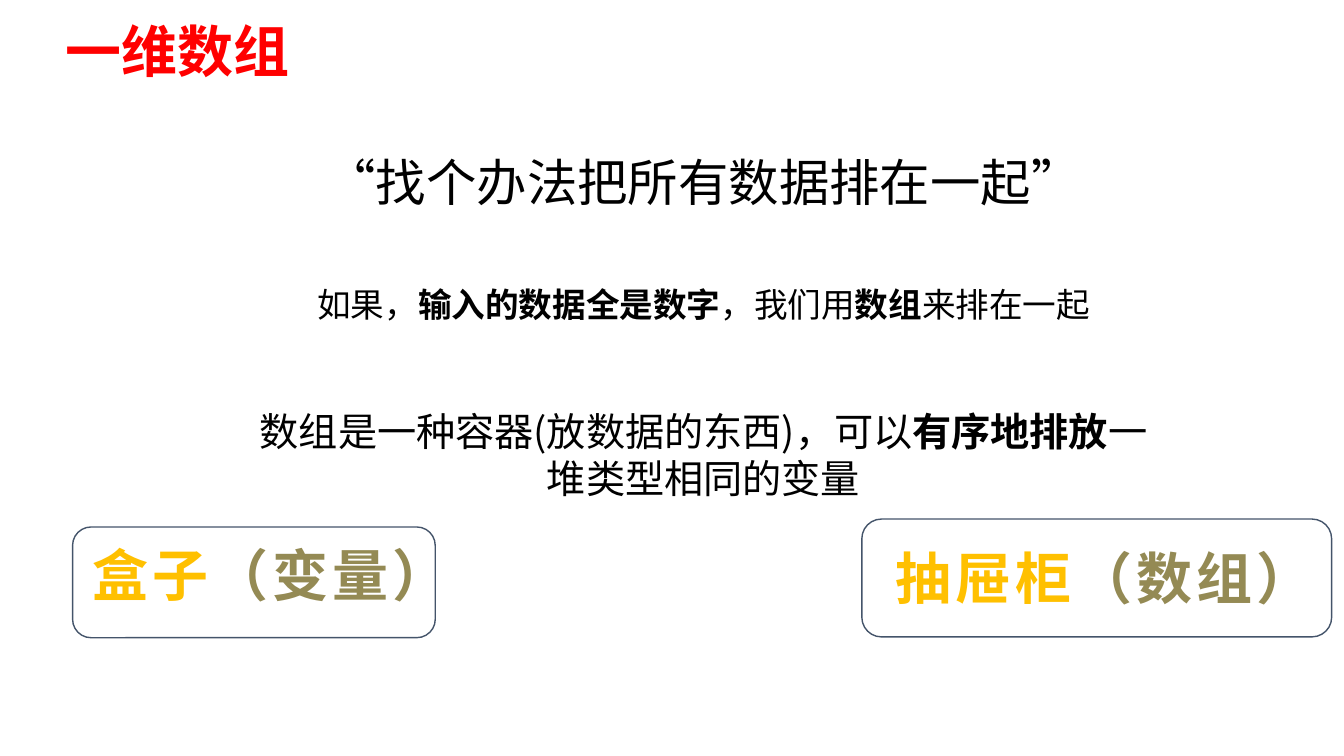
import pptx
import pptx.util
import pptx.dml.color
import pptx.enum.shapes
import pptx.enum.text
import pptx.oxml.ns
from lxml import etree

Cm = pptx.util.Cm
Pt = pptx.util.Pt
ANCHOR = pptx.enum.text.MSO_ANCHOR
ALIGN = pptx.enum.text.PP_ALIGN
FONT = "Noto Sans CJK SC"
COLORS = {
    "heading": "FF0000",
    "text": "000000",
    "object": "FFC000",
    "term": "948A54",
    "outline": "44546A",
}


def color(name):
    return pptx.dml.color.RGBColor.from_string(COLORS[name])


def place(shape, left, top, width, height):
    shape.left, shape.top = Cm(left), Cm(top)
    shape.width, shape.height = Cm(width), Cm(height)


def format_run(run, size, color_name, bold, spacing=None):
    run.font.size = Pt(size)
    run.font.bold = bold
    run.font.color.rgb = color(color_name)
    run.font.name = FONT
    properties = run.font._element
    east_asian = etree.SubElement(properties, pptx.oxml.ns.qn("a:ea"))
    east_asian.set("typeface", FONT)
    if spacing:
        properties.set("spc", str(spacing * 100))


def fill_text(shape, runs, size, align=ALIGN.CENTER, anchor=ANCHOR.MIDDLE,
              line_spacing=1.0, spacing=None):
    """Write one paragraph from (text, color name, bold) runs."""
    frame = shape.text_frame
    frame.word_wrap = True
    frame.vertical_anchor = anchor
    paragraph = frame.paragraphs[0]
    paragraph.alignment = align
    paragraph.line_spacing = line_spacing
    for text, color_name, bold in runs:
        run = paragraph.add_run()
        run.text = text
        format_run(run, size, color_name, bold, spacing)


def add_text(shapes, bounds, runs, size, **options):
    box = shapes.add_textbox(0, 0, 0, 0)
    place(box, *bounds)
    fill_text(box, runs, size, **options)
    return box


def add_label(slide, text_bounds, frame_bounds, object_name, term):
    """Group a two-colour label with its rounded outline."""
    group = slide.shapes.add_group_shape()
    label = add_text(group.shapes, text_bounds,
                     [(object_name, "object", True), (term, "term", True)], 40,
                     anchor=ANCHOR.BOTTOM, line_spacing=0.9, spacing=3)
    label.text_frame.margin_left = label.text_frame.margin_right = Cm(0.1)
    outline = group.shapes.add_shape(
        pptx.enum.shapes.MSO_SHAPE.ROUNDED_RECTANGLE,
        *(Cm(length) for length in frame_bounds))
    outline.shadow.inherit = False
    outline.fill.background()
    outline.line.color.rgb = color("outline")
    outline.line.width = Pt(1)


def main():
    presentation = pptx.Presentation()
    presentation.slide_width = Cm(33.87)
    presentation.slide_height = Cm(19.05)
    slide = presentation.slides.add_slide(presentation.slide_layouts[5])

    # Heading and title
    add_text(slide.shapes, (1.4, 0.3, 28.88, 1.96),
             [("一维数组", "heading", True)], 40,
             align=ALIGN.LEFT, anchor=ANCHOR.TOP)
    title = slide.shapes.title
    place(title, 4.93, 2.82, 25.6, 3.68)
    fill_text(title, [("“找个办法把所有数据排在一起”", "text", False)], 36,
              line_spacing=0.9)

    # Explanation
    add_text(slide.shapes, (7.65, 7.04, 20.17, 1.27), [
        ("如果，", "text", False),
        ("输入的数据全是数字", "text", True),
        ("，我们用", "text", False),
        ("数组", "text", True),
        ("来排在一起", "text", False),
    ], 24)
    add_text(slide.shapes, (5.89, 10.13, 23.68, 2.64), [
        ("数组是一种容器(放数据的东西)，可以", "text", False),
        ("有序地排放", "text", True),
        ("一堆类型相同的变量", "text", False),
    ], 28)

    # Comparison of variable and array
    add_label(slide, (1.42, 13.79, 10.8, 1.68), (1.83, 13.28, 9.14, 2.79),
              "盒子", "（变量）")
    add_label(slide, (21.79, 13.74, 12.07, 1.8), (21.72, 13.08, 11.84, 2.97),
              "抽屉柜", "（数组）")

    presentation.save("out.pptx")


if __name__ == "__main__":
    main()
